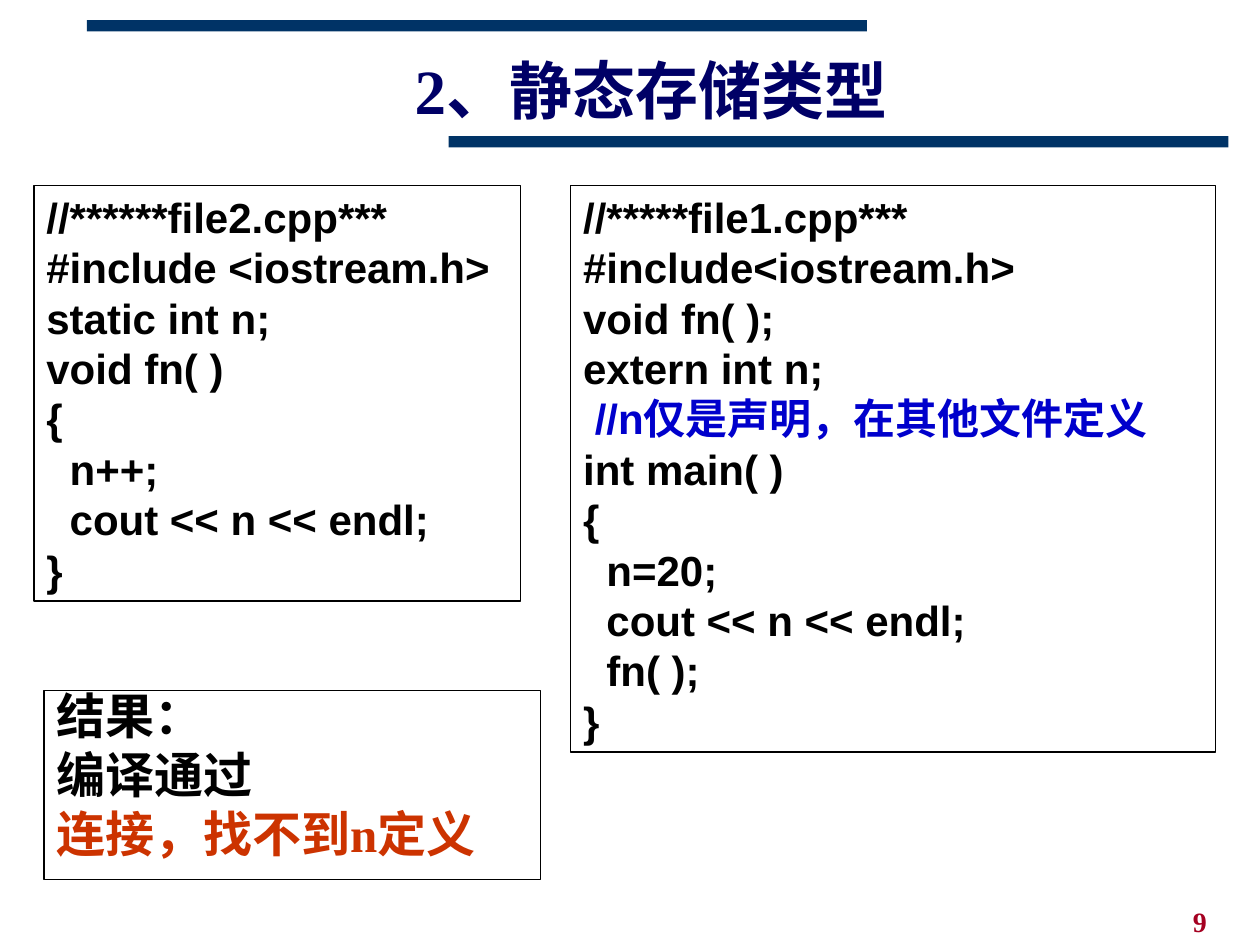
import pptx
import pptx.util
import pptx.dml.color
import pptx.enum.shapes
import pptx.enum.text

Inches = pptx.util.Inches
RGBColor = pptx.dml.color.RGBColor

BAR_BLUE = RGBColor(0x00, 0x33, 0x66)
TITLE_NAVY = RGBColor(0x00, 0x00, 0x66)
BLACK = RGBColor(0x00, 0x00, 0x00)
COMMENT_BLUE = RGBColor(0x00, 0x00, 0xCC)
ERROR_RED = RGBColor(0xCC, 0x33, 0x00)
NUMBER_RED = RGBColor(0xA5, 0x00, 0x21)


def add_run(paragraph, text, size=24, font="Arial", color=BLACK):
    run = paragraph.add_run()
    run.text = text
    run.font.size = pptx.util.Pt(size)
    run.font.name = font
    run.font.bold = True
    run.font.color.rgb = color


def add_framed_text(shapes, left, top, width, height):
    box = shapes.add_textbox(Inches(left), Inches(top), Inches(width), Inches(height))
    box.line.color.rgb = BLACK
    box.line.width = pptx.util.Pt(0.75)
    box.text_frame.word_wrap = True
    return box.text_frame


deck = pptx.Presentation()
deck.slide_width = Inches(10)
deck.slide_height = Inches(7.5)
slide = deck.slides.add_slide(deck.slide_layouts[5])
shapes = slide.shapes

# Bars above and below the title
for left, top in ((0.69, 0.16), (3.56, 1.08)):
    bar = shapes.add_shape(pptx.enum.shapes.MSO_SHAPE.RECTANGLE,
                           Inches(left), Inches(top), Inches(6.19), Inches(0.09))
    bar.shadow.inherit = False
    bar.fill.solid()
    bar.fill.fore_color.rgb = BAR_BLUE
    bar.line.fill.background()

# Title
title = shapes.title
title.left, title.top = Inches(2.24), Inches(0.28)
title.width, title.height = Inches(5.85), Inches(0.96)
title.text_frame.auto_size = pptx.enum.text.MSO_AUTO_SIZE.NONE
title.text_frame.vertical_anchor = pptx.enum.text.MSO_ANCHOR.MIDDLE
heading = title.text_frame.paragraphs[0]
heading.alignment = pptx.enum.text.PP_ALIGN.CENTER
heading.line_spacing = 0.85
add_run(heading, "2、静态存储类型", size=36, font="Times New Roman", color=TITLE_NAVY)

# Source files: the caller on the right, the static variable on the left
main_file = """//*****file1.cpp***
#include<iostream.h>
void fn( );
extern int n;
 //n仅是声明，在其他文件定义
int main( )
{
  n=20;
  cout << n << endl;
  fn( );
}"""
static_file = """//******file2.cpp***
#include <iostream.h>
static int n;
void fn( )
{
  n++;
  cout << n << endl;
}"""
for code, left, width, height in ((main_file, 4.53, 5.12, 4.5),
                                  (static_file, 0.27, 3.86, 3.3)):
    listing = add_framed_text(shapes, left, 1.47, width, height)
    for i, line in enumerate(code.split("\n")):
        paragraph = listing.add_paragraph() if i else listing.paragraphs[0]
        is_note = line.startswith(" //")
        add_run(paragraph, line, color=COMMENT_BLUE if is_note else BLACK)

# Result of compiling and linking
result = add_framed_text(shapes, 0.35, 5.48, 3.94, 1.5)
result_lines = (
    (("结果：", "Arial", BLACK),),
    (("编译通过", "Arial", BLACK),),
    (("连接，找不到", "Arial", ERROR_RED),
     ("n", "Times New Roman", ERROR_RED),
     ("定义", "Arial", ERROR_RED)),
)
for i, pieces in enumerate(result_lines):
    paragraph = result.add_paragraph() if i else result.paragraphs[0]
    paragraph.line_spacing = 0.8
    paragraph.space_before = pptx.util.Pt(7)
    for text, font, color in pieces:
        add_run(paragraph, text, size=28, font=font, color=color)

# Page number
page_number = shapes.add_textbox(Inches(9.37), Inches(7.13), Inches(0.63), Inches(0.37))
page_number.text_frame.word_wrap = True
number_line = page_number.text_frame.paragraphs[0]
number_line.space_before = pptx.util.Pt(10)
add_run(number_line, "9", size=16, font="Times New Roman", color=NUMBER_RED)

deck.save("out.pptx")
